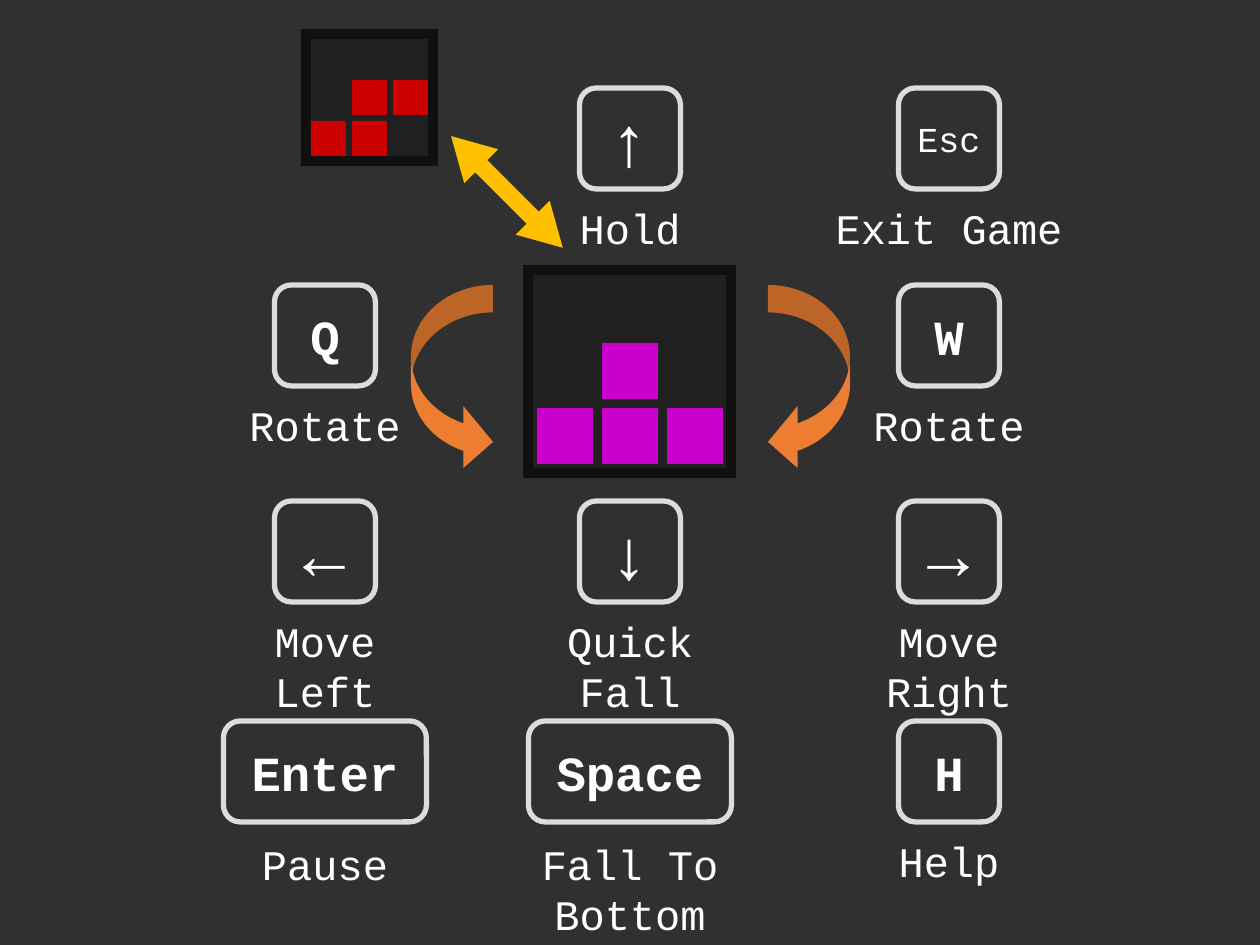
from lxml import etree
from pptx import Presentation, util as u
from pptx.dml.color import RGBColor
from pptx.enum import shapes, text
from pptx.oxml.ns import qn

# Content: lengths in px, 126 px to the inch
PX = 914400 / 126
SLIDE = (1260, 945)
LEFT, MIDDLE, RIGHT = 325, 630, 949  # centres of the key columns
ROWS = (88, 285, 501, 721)  # tops of the key rows
KEY_HEIGHT, KEY, WIDE_KEY = 101, 101, 203
LABEL_HEIGHT = 63
INK, KEY_EDGE, BACK = "FFFFFF", "DCDCDC", "303030"
WELL, WELL_EDGE = "202020", "101010"

ARROW_CAP = {"size": u.Pt(40), "bold": False}
WORD_CAP = {"size": u.Pt(28), "bold": True}
SMALL_CAP = {"size": u.Pt(20), "bold": False}
LABEL = {"size": u.Pt(24), "bold": False}

# Key cap, cap format, label, column, row, key width, label width
KEYS = [
    ("↑", ARROW_CAP, "Hold", MIDDLE, 0, KEY, 268),
    ("Esc", SMALL_CAP, "Exit Game", RIGHT, 0, KEY, 268),
    ("Q", WORD_CAP, "Rotate", LEFT, 1, KEY, 238),
    ("W", WORD_CAP, "Rotate", RIGHT, 1, KEY, 238),
    ("←", ARROW_CAP, "Move Left", LEFT, 2, KEY, 238),
    ("↓", ARROW_CAP, "Quick Fall", MIDDLE, 2, KEY, 268),
    ("→", ARROW_CAP, "Move Right", RIGHT, 2, KEY, 268),
    ("Enter", WORD_CAP, "Pause", LEFT, 3, WIDE_KEY, 353),
    ("Space", WORD_CAP, "Fall To Bottom", MIDDLE, 3, WIDE_KEY, 353),
    ("H", WORD_CAP, "Help", RIGHT, 3, KEY, 238),
]

# Each well: left, top, size; first cell left, top; cell size, pitch; colour;
# filled cells as (column, row up from the floor)
WELLS = [
    ((306, 34, 127), (311, 121), 35, 41, "CC0000",
     [(0, 0), (1, 0), (1, 1), (2, 1)]),
    ((528, 270, 203), (537, 408), 56, 65, "CC00CC",
     [(0, 0), (1, 0), (2, 0), (1, 1)]),
]

KIND = shapes.MSO_SHAPE
CURVE = (0.335, 0.757, 0.362)
# Kind, box, adjustments, colour, rotation, mirrored
ARROWS = [
    (KIND.LEFT_RIGHT_ARROW, (428, 168, 158, 48), (0.357, 0.888), "FFC000", 45, False),
    (KIND.CURVED_RIGHT_ARROW, (411, 285, 82, 188), CURVE, "ED7D31", 0, False),
    (KIND.CURVED_RIGHT_ARROW, (768, 285, 82, 188), CURVE, "ED7D31", 0, True),
]


def emu(*lengths):
    return [round(length * PX) for length in lengths]


def paint(target, colour):
    target.solid()
    target.fore_color.rgb = RGBColor.from_string(colour)


def add_shape(parent, kind, area, fill=None, edge=None, weight=0):
    shape = parent.shapes.add_shape(kind, *emu(*area))
    shape.shadow.inherit = False
    if fill:
        paint(shape.fill, fill)
    else:
        shape.fill.background()
    if edge:
        paint(shape.line.fill, edge)
        shape.line.width = u.Pt(weight)
    else:
        shape.line.fill.background()
    return shape


def write(box, words, look):
    para = box.text_frame.paragraphs[0]
    para.alignment = text.PP_ALIGN.CENTER
    span = para.add_run()
    span.text = words
    for name, value in {"name": "Courier New", **look}.items():
        setattr(span.font, name, value)
    paint(span.font.fill, INK)


def add_key(page, cap, look, label, centre, row, key_width, label_width):
    group = page.shapes.add_group_shape()
    top = ROWS[row]
    key = add_shape(group, KIND.ROUNDED_RECTANGLE,
                    (centre - key_width / 2, top, key_width, KEY_HEIGHT),
                    edge=KEY_EDGE, weight=3)
    key.text_frame.vertical_anchor = text.MSO_ANCHOR.MIDDLE
    write(key, cap, look)

    gap = 10 if key_width == WIDE_KEY else 7
    box = group.shapes.add_textbox(*emu(
        centre - label_width / 2, top + KEY_HEIGHT + gap, label_width, LABEL_HEIGHT))
    box.text_frame.word_wrap = True
    box.text_frame.auto_size = text.MSO_AUTO_SIZE.SHAPE_TO_FIT_TEXT
    write(box, label, LABEL)


def add_well(page, frame, first, size, pitch, colour, cells):
    group = page.shapes.add_group_shape()
    left, top, side = frame
    well = add_shape(group, KIND.RECTANGLE, (left, top, side, side),
                     WELL, WELL_EDGE, 6)
    # Square corners on the thick frame
    etree.SubElement(well.line._get_or_add_ln(), qn("a:miter"), lim="800000")
    for column, level in cells:
        add_shape(group, KIND.RECTANGLE,
                  (first[0] + column * pitch, first[1] - level * pitch, size, size),
                  colour)


def add_arrow(page, kind, area, adjustments, colour, rotation, mirrored):
    arrow = add_shape(page, kind, area, colour)
    arrow.rotation = rotation
    for index, value in enumerate(adjustments):
        arrow.adjustments[index] = value
    if mirrored:
        arrow._element.spPr.xfrm.set("flipH", "1")


def main():
    deck = Presentation()
    deck.slide_width, deck.slide_height = emu(*SLIDE)
    page = deck.slides.add_slide(deck.slide_layouts[6])
    paint(page.background.fill, BACK)

    for well in WELLS:
        add_well(page, *well)
    for key in KEYS:
        add_key(page, *key)
    for arrow in ARROWS:
        add_arrow(page, *arrow)

    deck.save("out.pptx")


if __name__ == "__main__":
    main()
